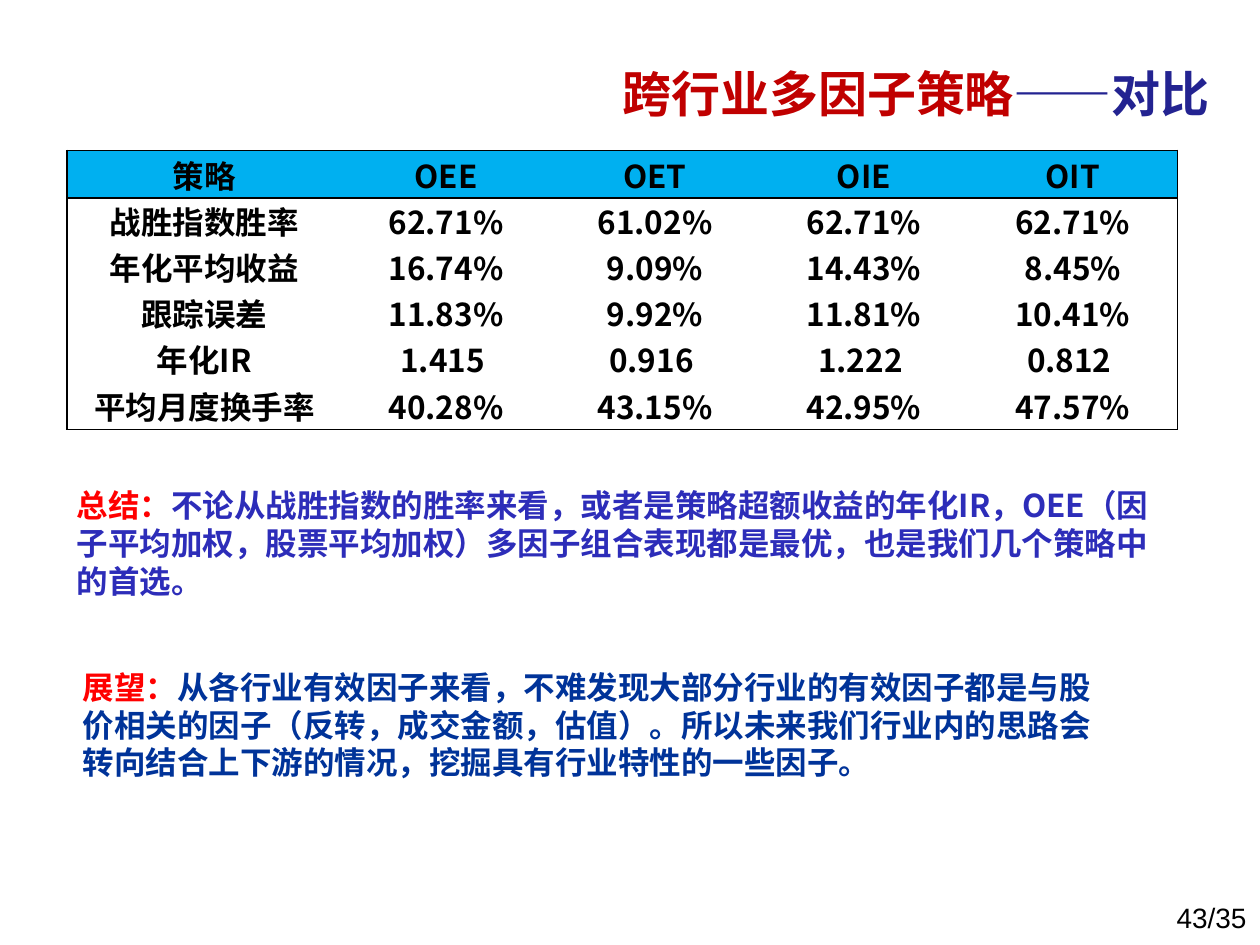
from pptx import Presentation
from pptx.dml.color import RGBColor
from pptx.enum.text import MSO_ANCHOR as Anchor, MSO_AUTO_SIZE as AutoSize, PP_ALIGN as Align
from pptx.oxml.ns import qn
from pptx.util import Pt
from lxml.etree import SubElement

BLACK = RGBColor(0x00, 0x00, 0x00)
WHITE = RGBColor(0xFF, 0xFF, 0xFF)
CRIMSON = RGBColor(0xC0, 0x00, 0x00)
NAVY = RGBColor(0x23, 0x23, 0x91)
RED = RGBColor(0xFF, 0x00, 0x00)
VIOLET = RGBColor(0x2D, 0x2D, 0xB9)
BLUE = RGBColor(0x00, 0x33, 0x99)
SKY = RGBColor(0x00, 0xB0, 0xF0)

CJK = "Noto Sans CJK SC"
SERIF = "Times New Roman"
SANS = "Arial"

TITLE = [("跨行业多因子策略", SERIF, CRIMSON), ("——对比", CJK, NAVY)]
RESULTS = [
    ("策略", "OEE", "OET", "OIE", "OIT"),
    ("战胜指数胜率", "62.71%", "61.02%", "62.71%", "62.71%"),
    ("年化平均收益", "16.74%", "9.09%", "14.43%", "8.45%"),
    ("跟踪误差", "11.83%", "9.92%", "11.81%", "10.41%"),
    ("年化IR", "1.415 ", "0.916 ", "1.222 ", "0.812 "),
    ("平均月度换手率", "40.28%", "43.15%", "42.95%", "47.57%"),
]
COL_WIDTHS = [157] + [119.4] * 4
ROW_HEIGHTS = [27.4] + [26.2] * 4 + [27.4]
NOTES = [
    ((36.7, 274.3, 632.2, 72.7), "总结：",
     "不论从战胜指数的胜率来看，或者是策略超额收益的年化IR，OEE（因子平均加权，股票平均加权）"
     "多因子组合表现都是最优，也是我们几个策略中的首选。", VIOLET),
    ((40.3, 378, 595.4, 72.7), "展望：",
     "从各行业有效因子来看，不难发现大部分行业的有效因子都是与股价相关的因子（反转，成交金额，估值）。"
     "所以未来我们行业内的思路会转向结合上下游的情况，挖掘具有行业特性的一些因子。", BLUE),
]


def add_run(p, text, size, font, color, bold=True):
    r = p.add_run()
    r.text = text
    r.font.size, r.font.bold, r.font.name = Pt(size), bold, font
    r.font.color.rgb = color
    east = CJK if font == SERIF else font
    SubElement(r.font._element, qn("a:ea"), typeface=east)


def add_text_box(slide, box):
    tf = slide.shapes.add_textbox(*map(Pt, box)).text_frame
    tf.word_wrap = True
    return tf


def set_borders(cell, sides):
    tc_pr = cell._tc.get_or_add_tcPr()
    for side in "LRTB":
        ln = SubElement(tc_pr, qn(f"a:ln{side}"), w=str(Pt(1)))
        if side in sides:
            fill = SubElement(ln, qn("a:solidFill"))
            SubElement(fill, qn("a:srgbClr"), val=str(BLACK))
        else:
            SubElement(ln, qn("a:noFill"))


def add_title(slide):
    title = slide.shapes.title
    title.left, title.top, title.width, title.height = map(Pt, (319.7, 15.8, 416.2, 58.3))
    tf = title.text_frame
    tf.word_wrap, tf.vertical_anchor, tf.auto_size = True, Anchor.TOP, AutoSize.NONE
    p = tf.paragraphs[0]
    p.alignment, p.line_spacing = Align.LEFT, 1.5
    p_pr = p._p.get_or_add_pPr()
    p_pr.set("marL", "0")
    p_pr.set("indent", str(Pt(28.8)))
    for text, font, color in TITLE:
        add_run(p, text, 28, font, color)


def add_results(slide):
    rows, cols = len(RESULTS), len(RESULTS[0])
    box = 38.2, 85.9, sum(COL_WIDTHS), sum(ROW_HEIGHTS)
    table = slide.shapes.add_table(rows, cols, *map(Pt, box)).table
    for col, width in zip(table.columns, COL_WIDTHS):
        col.width = Pt(width)
    for i, values in enumerate(RESULTS):
        table.rows[i].height = Pt(ROW_HEIGHTS[i])
        for j, value in enumerate(values):
            cell = table.cell(i, j)
            edges = {"L": j == 0, "R": j == cols - 1, "T": i < 2, "B": i in (0, rows - 1)}
            set_borders(cell, [side for side, drawn in edges.items() if drawn])
            if i == 0:
                cell.fill.solid()
                cell.fill.fore_color.rgb = SKY
            else:
                cell.fill.background()
            cell.margin_left = cell.margin_right = cell.margin_top = cell.margin_bottom = 0
            cell.vertical_anchor = Anchor.MIDDLE
            p = cell.text_frame.paragraphs[0]
            p.alignment = Align.CENTER
            add_run(p, value, 18, CJK, BLACK)


def main():
    prs = Presentation()
    prs.slide_width, prs.slide_height = Pt(720), Pt(540)
    slide = prs.slides.add_slide(prs.slide_layouts[5])
    slide.background.fill.solid()
    slide.background.fill.fore_color.rgb = WHITE

    add_title(slide)
    add_results(slide)
    for box, label, text, color in NOTES:
        p = add_text_box(slide, box).paragraphs[0]
        add_run(p, label, 18, CJK, RED)
        add_run(p, text, 18, CJK, color)

    tf = add_text_box(slide, (551.5, 509.8, 167.8, 28.8))
    tf.vertical_anchor = Anchor.MIDDLE
    tf.paragraphs[0].alignment = Align.RIGHT
    add_run(tf.paragraphs[0], "43/35", 16, SANS, BLACK, bold=False)

    prs.save("out.pptx")


if __name__ == "__main__":
    main()
